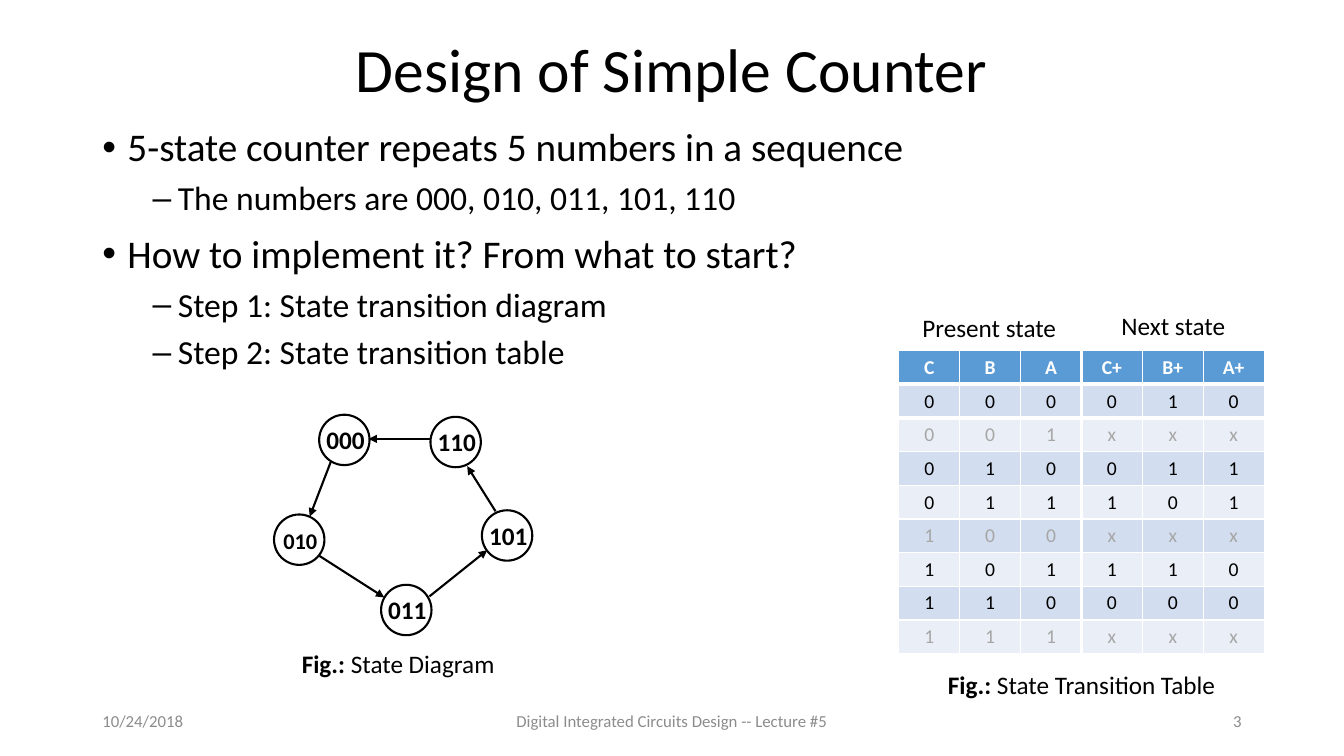
from dataclasses import dataclass

from lxml.etree import SubElement
from pptx import Presentation
from pptx.dml.color import RGBColor
from pptx.enum.shapes import MSO_CONNECTOR as Connector, MSO_SHAPE as Shape
from pptx.enum.text import MSO_ANCHOR as Anchor, MSO_AUTO_SIZE as AutoSize, PP_ALIGN as Align
from pptx.oxml import parse_xml
from pptx.oxml.ns import nsdecls, qn
from pptx.util import Emu, Pt


@dataclass(frozen=True)
class Theme:
    font: str = "Calibri"
    ink: str = "000000"
    paper: str = "FFFFFF"
    footer: str = "8C8C8C"
    unused: str = "A6A6A6"
    header: str = "5B9BD5"
    bands: tuple[str, str] = ("D2DEEF", "EAEFF7")
    title_size: int = 44
    body_sizes: tuple[int, int] = (28, 24)
    caption_size: int = 18
    cell_size: int = 14
    footer_size: int = 12
    line_width: float = 1.5
    thick_border: int = 3


@dataclass(frozen=True)
class Box:
    left: int
    top: int
    width: int
    height: int


@dataclass(frozen=True)
class State:
    code: str
    left: int
    top: int
    size: int = 18


@dataclass(frozen=True)
class Arrow:
    start: tuple[int, int]
    end: tuple[int, int]


@dataclass(frozen=True)
class Caption:
    text: str
    box: Box
    lead: str = ""
    align: Align = Align.LEFT


@dataclass(frozen=True)
class StateTable:
    left: int
    header: str
    rows: tuple[str, ...]
    thick_column: int
    thick_side: str


THEME = Theme()
CIRCLE = 48
TABLE_TOP, COLUMN_WIDTH, ROW_HEIGHT = 334, 58, 32
UNUSED_ROWS = (2, 5, 8)

BULLETS = (
    (0, "5-state counter repeats 5 numbers in a sequence"),
    (1, "The numbers are 000, 010, 011, 101, 110"),
    (0, "How to implement it? From what to start?"),
    (1, "Step 1: State transition diagram"),
    (1, "Step 2: State transition table"),
)
FOOTERS = (
    Caption("10/24/2018", Box(88, 667, 288, 38)),
    Caption("Digital Integrated Circuits Design -- Lecture #5", Box(424, 667, 432, 38), align=Align.CENTER),
    Caption("3", Box(904, 667, 288, 38), align=Align.RIGHT),
)
CAPTIONS = (
    Caption("Present state", Box(869, 293, 148, 38)),
    Caption("Next state", Box(1058, 291, 119, 38), align=Align.CENTER),
    Caption("State Diagram", Box(278, 613, 204, 38), lead="Fig.: "),
    Caption("State Transition Table", Box(892, 633, 276, 38), lead="Fig.: ", align=Align.CENTER),
)
FIRST_STATE = State("000", 304, 395)
OTHER_STATES = (
    State("110", 410, 397),
    State("101", 459, 486),
    State("011", 363, 557),
    State("010", 261, 490, size=16),
)
ARROWS = (
    Arrow((315, 440), (295, 492)),
    Arrow((302, 528), (366, 569)),
    Arrow((409, 568), (464, 524)),
    Arrow((472, 487), (445, 444)),
    Arrow((413, 418), (351, 418)),
)
TABLES = (
    StateTable(856, "C B A", tuple(f"{n:03b}" for n in range(8)), 2, "lnR"),
    StateTable(1030, "C+ B+ A+", ("010", "xxx", "011", "101", "xxx", "110", "000", "xxx"), 0, "lnL"),
)


def px(length: int) -> Emu:
    return Emu(length * 9525)


def place(box: Box) -> tuple[Emu, ...]:
    return px(box.left), px(box.top), px(box.width), px(box.height)


def rgb(value: str) -> RGBColor:
    return RGBColor.from_string(value)


def write(para, text: str, *, size: int, color: str = THEME.ink, bold: bool = False,
          align: Align = Align.LEFT, spacing=None) -> None:
    para.alignment = align
    if spacing is not None:
        para.line_spacing = spacing
    span = para.add_run()
    span.text = text
    span.font.name, span.font.size, span.font.bold = THEME.font, Pt(size), bold
    span.font.color.rgb = rgb(color)


def add_frame(shapes, box: Box, *, anchor: Anchor = Anchor.TOP, wrap: bool = True):
    frame = shapes.add_textbox(*place(box)).text_frame
    frame.word_wrap, frame.vertical_anchor = wrap, anchor
    return frame


def add_bullets(page) -> None:
    frame = add_frame(page.shapes, Box(88, 117, 1104, 237))
    for index, (level, text) in enumerate(BULLETS):
        para = frame.add_paragraph() if index else frame.paragraphs[0]
        write(para, text, size=THEME.body_sizes[level], spacing=0.9)
        para.level, para.space_before = level, Pt((12, 8)[level])
        props = para._p.get_or_add_pPr()
        props.set("marL", str(px((24, 72)[level])))
        props.set("indent", str(px(-24)))
        SubElement(props, qn("a:buFont"), typeface="Arial")
        SubElement(props, qn("a:buChar"), char="•–"[level])


def add_state(page, state: State) -> None:
    group = page.shapes.add_group_shape()
    circle = group.shapes.add_shape(Shape.OVAL, *place(Box(state.left, state.top, CIRCLE, CIRCLE)))
    circle.shadow.inherit = False
    circle.fill.solid()
    circle.fill.fore_color.rgb = rgb(THEME.paper)
    circle.line.color.rgb, circle.line.width = rgb(THEME.ink), Pt(THEME.line_width)
    frame = add_frame(group.shapes, Box(state.left - 2, state.top + 7, 54, 41), wrap=False)
    frame.margin_left = frame.margin_right = px(2)
    frame.margin_top = frame.margin_bottom = px(3)
    write(frame.paragraphs[0], state.code, size=state.size, bold=True, align=Align.CENTER, spacing=Pt(21))


def add_arrow(page, arrow: Arrow) -> None:
    line = page.shapes.add_connector(Connector.STRAIGHT, *map(px, arrow.start + arrow.end))
    line.line.color.rgb, line.line.width = rgb(THEME.ink), Pt(THEME.line_width)
    SubElement(line.line._get_or_add_ln(), qn("a:tailEnd"), type="triangle")
    SubElement(line._element.spPr, qn("a:effectLst"))


def add_state_table(page, table: StateTable) -> None:
    rows = [table.header.split(), *table.rows]
    box = Box(table.left, TABLE_TOP, 3 * COLUMN_WIDTH, len(rows) * ROW_HEIGHT)
    grid = page.shapes.add_table(len(rows), 3, *place(box)).table
    for r, values in enumerate(rows):
        head = r == 0
        color = THEME.paper if head else THEME.unused if r in UNUSED_ROWS else THEME.ink
        for c, value in enumerate(values):
            cell = grid.cell(r, c)
            cell.fill.solid()
            cell.fill.fore_color.rgb = rgb(THEME.header if head else THEME.bands[(r - 1) % 2])
            write(cell.text_frame.paragraphs[0], value, size=THEME.cell_size,
                  color=color, bold=head, align=Align.CENTER)
            # Thick borders where the tables meet and under the header
            sides = [table.thick_side] if c == table.thick_column else []
            sides += {0: ["lnB"], 1: ["lnT"]}.get(r, [])
            for index, side in enumerate(sides):
                cell._tc.get_or_add_tcPr().insert(index, parse_xml(
                    f'<a:{side} {nsdecls("a")} w="{Pt(THEME.thick_border)}"><a:solidFill>'
                    f'<a:srgbClr val="{THEME.paper}"/></a:solidFill></a:{side}>'))


def main() -> None:
    deck = Presentation()
    deck.slide_width, deck.slide_height = px(1280), px(720)
    page = deck.slides.add_slide(deck.slide_layouts[6])

    # Title, bullets and footer
    title = add_frame(page.shapes, Box(88, 32, 1104, 75), anchor=Anchor.MIDDLE)
    write(title.paragraphs[0], "Design of Simple Counter", size=THEME.title_size, align=Align.CENTER, spacing=0.9)
    add_bullets(page)
    for footer in FOOTERS:
        frame = add_frame(page.shapes, footer.box, anchor=Anchor.MIDDLE)
        write(frame.paragraphs[0], footer.text, size=THEME.footer_size, color=THEME.footer, align=footer.align)
    # State diagram: arrows lie over the first state and under the others
    add_state(page, FIRST_STATE)
    for arrow in ARROWS:
        add_arrow(page, arrow)
    for state in OTHER_STATES:
        add_state(page, state)
    # Transition tables and captions
    for table in TABLES:
        add_state_table(page, table)
    for caption in CAPTIONS:
        frame = add_frame(page.shapes, caption.box, wrap=False)
        frame.auto_size = AutoSize.SHAPE_TO_FIT_TEXT
        if caption.lead:
            write(frame.paragraphs[0], caption.lead, size=THEME.caption_size, bold=True)
        write(frame.paragraphs[0], caption.text, size=THEME.caption_size, align=caption.align)
    deck.save("out.pptx")


if __name__ == "__main__":
    main()
